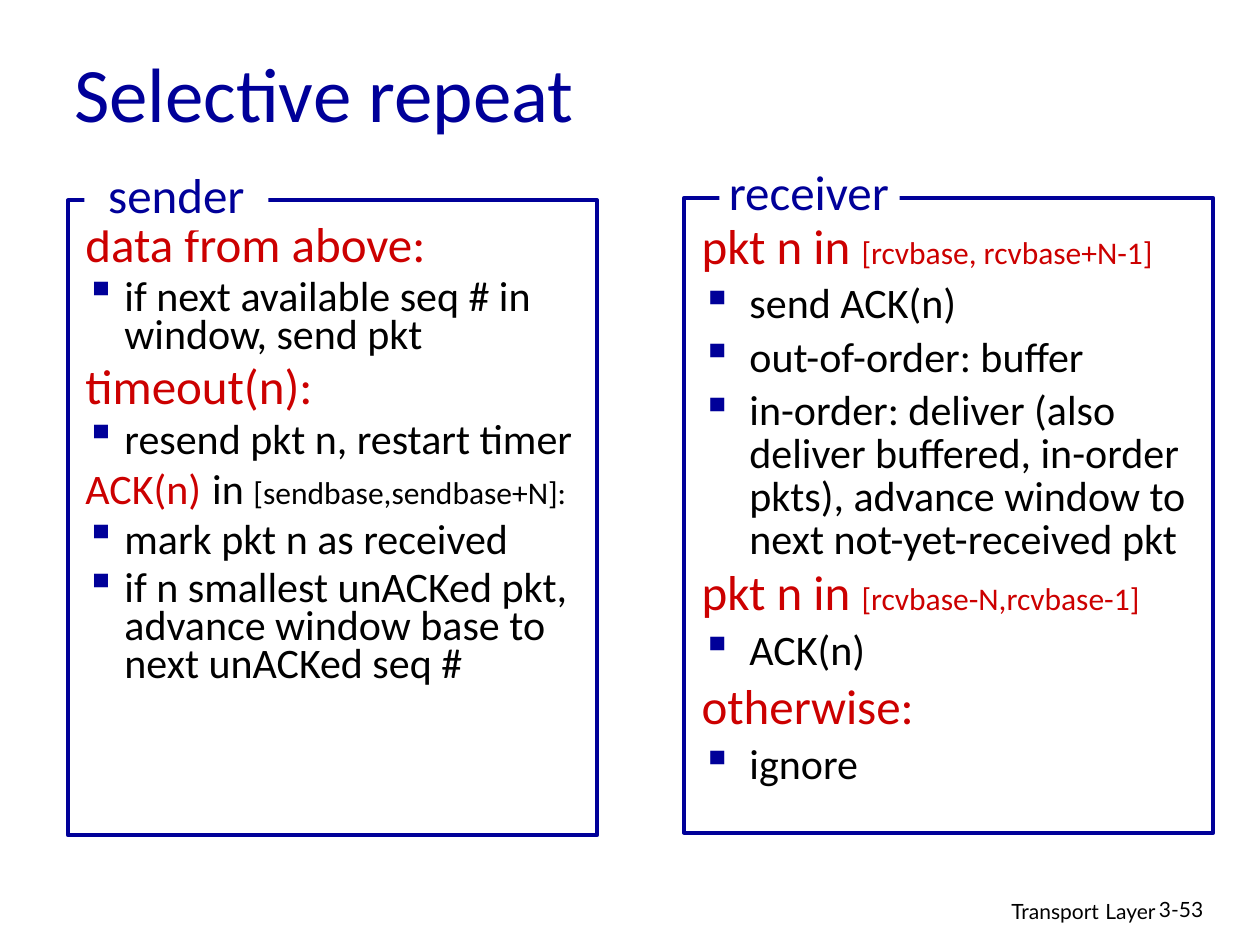
from dataclasses import dataclass

from lxml.etree import SubElement
from pptx import Presentation
from pptx.dml.color import RGBColor as Rgb
from pptx.enum.shapes import MSO_SHAPE as Shape
from pptx.enum.text import MSO_ANCHOR as Anchor, PP_ALIGN as Align
from pptx.oxml.ns import qn
from pptx.util import Inches, Pt


@dataclass(frozen=True)
class Theme:
    blue: str = "000099"
    red: str = "CC0000"
    black: str = "000000"
    white: str = "FFFFFF"
    body: str = "Calibri"
    foot: str = "Lato"
    title: int = 44
    head: int = 28
    item: int = 24
    range: int = 18
    note: int = 12
    gap: int = 14
    frame: float = 2.25


T = Theme()


def head(text):
    return text, T.head, T.red


def bullet(text):
    return {"runs": [(text, T.item, T.black)], "mark": True, "before": 6}


SENDER = [
    {"runs": [head("data from above:")]},
    bullet("if next available seq # in window, send pkt"),
    {"runs": [head("timeout(n):")], "before": 7},
    bullet("resend pkt n, restart timer"),
    {"runs": [("ACK(n)", T.item, T.red), head(" "), ("in ", T.item, T.black),
              ("[sendbase,sendbase+N]:", T.range, T.black)], "before": 4.5},
    bullet("mark pkt n as received"),
    bullet("if n smallest unACKed pkt, advance window base to next unACKed seq #"),
]
RECEIVER = [
    {"runs": [head("pkt n in "), ("[rcvbase, rcvbase+N-1]", T.range, T.red)]},
    bullet("send ACK(n)"),
    bullet("out-of-order: buffer"),
    bullet("in-order: deliver (also deliver buffered, in-order pkts), "
           "advance window to next not-yet-received pkt"),
    {"runs": [head("pkt n in "), ("[rcvbase-N,rcvbase-1]", T.range, T.red)],
     "before": 4.5},
    bullet("ACK(n)"),
    {"runs": [head("otherwise:")], "before": 6},
    bullet("ignore"),
]
# Boxes are left, top, width, height in inches.
PANELS = [
    {"name": "sender", "paras": SENDER, "indent": 0.31, "space": 0.75,
     "text": (0.58, 1.75, 4.17, 5.08), "frame": (0.54, 1.59, 4.2, 5.04),
     "patch": (0.67, 1.26, 1.46, 0.57), "label": (0.67, 1.26, 1.46, 0.57)},
    {"name": "receiver", "paras": RECEIVER, "indent": 0.38, "space": 0.85,
     "text": (5.47, 1.73, 4.17, 5.08), "frame": (5.43, 1.57, 4.2, 5.04),
     "patch": (5.71, 1.42, 1.43, 0.31), "label": (5.59, 1.23, 1.66, 0.57)},
]


def add_mark(para):
    props = para._p.get_or_add_pPr()
    tint = SubElement(props, qn("a:buClr"))
    SubElement(tint, qn("a:srgbClr"), val=T.blue)
    SubElement(props, qn("a:buChar"), char="▪")


def add_text(slide, box, paras, font=T.body, align=Align.LEFT,
             anchor=Anchor.TOP, wrap=True, indent=0, space=None):
    """Add a text box; each run is (text, size, colour)."""
    frame = slide.shapes.add_textbox(*map(Inches, box)).text_frame
    frame.word_wrap = wrap
    frame.vertical_anchor = anchor
    for i, item in enumerate(paras):
        para = frame.paragraphs[0] if i == 0 else frame.add_paragraph()
        para.alignment = align
        para.line_spacing = space
        para.space_before = Pt(item.get("before", 0))
        if indent:
            props = para._p.get_or_add_pPr()
            props.set("marL", str(Inches(indent)))
            props.set("indent", str(-Inches(indent)))
        if item.get("mark"):
            add_mark(para)
        for text, size, color in item["runs"]:
            run = para.add_run()
            run.text = text
            run.font.name = font
            run.font.size = Pt(size)
            run.font.color.rgb = Rgb.from_string(color)


def add_rect(slide, box, fill=None, line=None):
    rect = slide.shapes.add_shape(Shape.RECTANGLE, *map(Inches, box))
    rect.shadow.inherit = False
    if fill:
        rect.fill.solid()
        rect.fill.fore_color.rgb = Rgb.from_string(fill)
    else:
        rect.fill.background()
    if line:
        rect.line.color.rgb = Rgb.from_string(line)
        rect.line.width = Pt(T.frame)
    else:
        rect.line.fill.background()


def add_panel(slide, panel):
    """Draw body text, its frame, and a label that breaks the frame's top."""
    add_text(slide, panel["text"], panel["paras"],
             indent=panel["indent"], space=panel["space"])
    add_rect(slide, panel["frame"], line=T.blue)
    add_rect(slide, panel["patch"], fill=T.white)
    add_text(slide, panel["label"], [{"runs": [(panel["name"], T.head, T.blue)]}],
             align=Align.CENTER, wrap=False)


def main():
    deck = Presentation()
    deck.slide_width, deck.slide_height = Inches(10), Inches(7.5)
    slide = deck.slides.add_slide(deck.slide_layouts[6])
    footer = [("Transport", T.note, T.black), (" ", T.gap, T.black),
              ("Layer", T.note, T.black)]
    add_text(slide, (6.1, 7.05, 3.17, 0.31), [{"runs": footer}],
             font=T.foot, align=Align.RIGHT)
    add_text(slide, (9.1, 7.07, 0.74, 0.3),
             [{"runs": [("3-53", T.note, T.black)]}], font=T.foot)
    add_text(slide, (0.49, 0.27, 8.5, 0.92),
             [{"runs": [("Selective repeat", T.title, T.blue)]}],
             anchor=Anchor.MIDDLE)
    for panel in PANELS:
        add_panel(slide, panel)
    deck.save("out.pptx")


if __name__ == "__main__":
    main()
